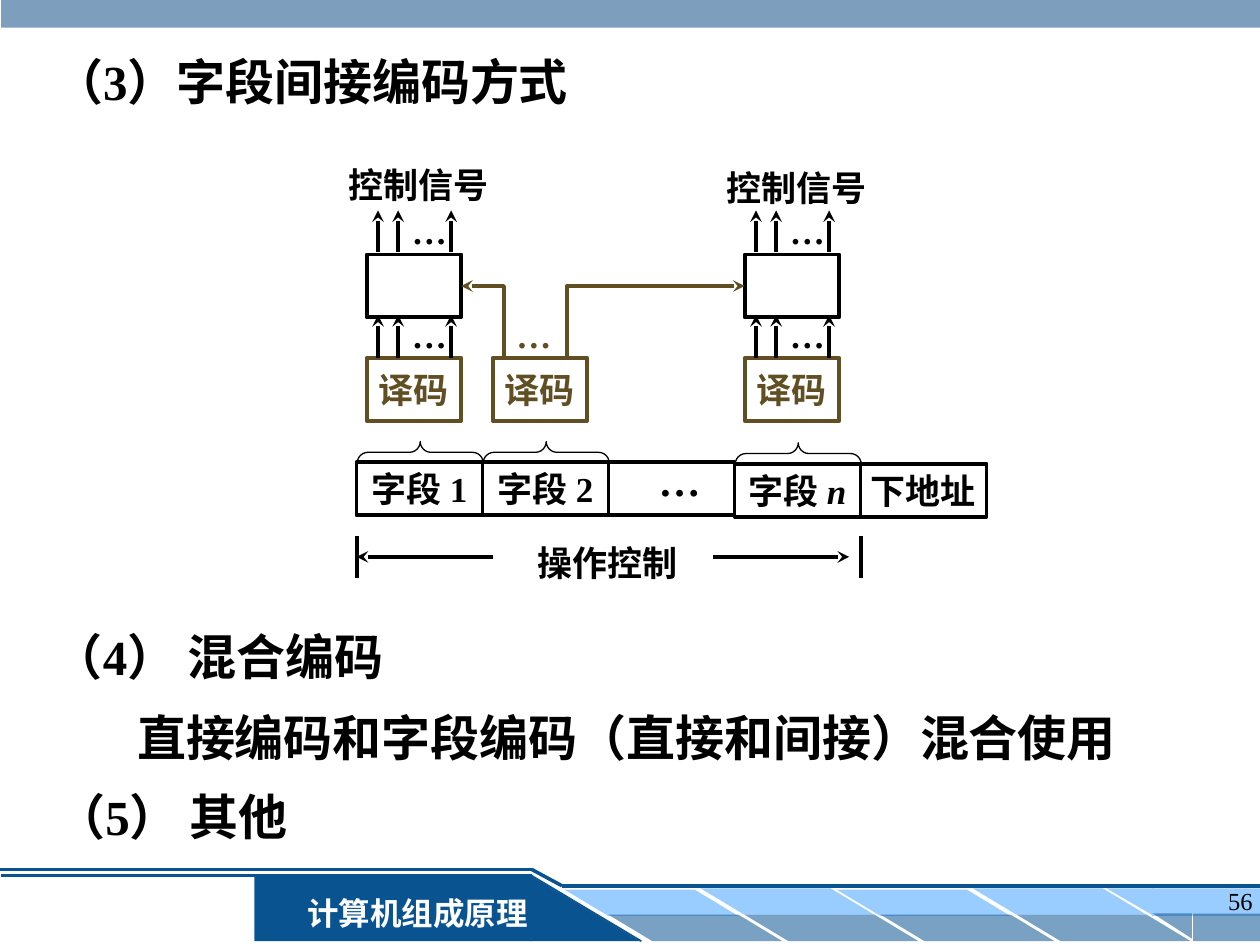
import dataclasses
import typing

import pptx
import pptx.dml.color
import pptx.enum.shapes
import pptx.enum.text
import pptx.oxml.ns
import pptx.oxml.xmlchemy
import pptx.util

PX = 9144  # one px is a hundredth of an inch
FONT = "Times New Roman"
BLACK, WHITE, BROWN = "000000", "FFFFFF", "614F23"
NAVY, SKY, STEEL = "095391", "99CCFF", "336699"
KIND = pptx.enum.shapes.MSO_SHAPE
ALIGN = pptx.enum.text.PP_ALIGN
ANCHOR = pptx.enum.text.MSO_ANCHOR
qn = pptx.oxml.ns.qn
make = pptx.oxml.xmlchemy.OxmlElement


@dataclasses.dataclass
class Box:
    x: int
    y: int
    w: int
    h: int

    def emu(self) -> list[int]:
        return [v * PX for v in (self.x, self.y, self.w, self.h)]


@dataclasses.dataclass
class Field:
    text: str
    y: int
    brace: bool = False
    slant: str = ""


def rgb(code: str) -> pptx.dml.color.RGBColor:
    return pptx.dml.color.RGBColor.from_string(code)


def write(frame, text: str, size: float = 20, color: str = BLACK, bold: bool = True,
          align=ALIGN.LEFT, anchor=ANCHOR.TOP, wrap: bool = False, slant: str = "") -> None:
    """Fill a text frame; slant is a closing run in italics."""
    frame.auto_size = pptx.enum.text.MSO_AUTO_SIZE.NONE
    frame.word_wrap = wrap
    frame.vertical_anchor = anchor
    par = frame.paragraphs[0]
    par.alignment = align
    for part, ital in ((text, False), (slant, True)):
        if part:
            run = par.add_run()
            run.text = part
            font = run.font
            font.name, font.size = FONT, pptx.util.Pt(size)
            font.bold, font.italic = bold, ital
            font.color.rgb = rgb(color)


def label(slide, box: Box, text: str, **form) -> None:
    write(slide.shapes.add_textbox(*box.emu()).text_frame, text, **form)


def style(shape, fill: typing.Optional[str] = None, edge: typing.Optional[str] = None,
          width: float = 2.25, alpha: int = 100) -> None:
    shape.shadow.inherit = False
    if fill:
        shape.fill.solid()
        shape.fill.fore_color.rgb = rgb(fill)
        if alpha < 100:
            tint = shape.element.spPr.find(qn("a:solidFill"))[0]
            node = make("a:alpha")
            node.set("val", str(alpha * 1000))
            tint.append(node)
    else:
        shape.fill.background()
    if edge:
        shape.line.color.rgb = rgb(edge)
        shape.line.width = pptx.util.Pt(width)
    else:
        shape.line.fill.background()


def draw(slide, box: Box, kind=KIND.RECTANGLE, flip: str = "", **look):
    shape = slide.shapes.add_shape(kind, *box.emu())
    style(shape, **look)
    for axis in flip:
        shape.element.spPr.find(qn("a:xfrm")).set("flip" + axis, "1")
    return shape


def point(shape) -> None:
    """Put an arrowhead at the end of a line."""
    head = make("a:tailEnd")
    head.set("type", "stealth")
    shape.element.spPr.find(qn("a:ln")).append(head)


def line(slide, x1: int, y1: int, x2: int, y2: int, color: str = BLACK,
         width: float = 2.25, arrow: bool = False) -> None:
    link = slide.shapes.add_connector(pptx.enum.shapes.MSO_CONNECTOR.STRAIGHT,
                                      x1 * PX, y1 * PX, x2 * PX, y2 * PX)
    link.line.color.rgb = rgb(color)
    link.line.width = pptx.util.Pt(width)
    if arrow:
        point(link)
    link.element.spPr.append(make("a:effectLst"))


def elbow(slide, *spots: tuple[int, int]) -> None:
    path = slide.shapes.build_freeform(*spots[0], scale=PX)
    path.add_line_segments(spots[1:], close=False)
    shape = path.convert_to_shape()
    style(shape, edge=BROWN)
    point(shape)


def frame_page(slide) -> None:
    # Course plate and its outline
    draw(slide, Box(202, 695, 220, 52), fill=NAVY)
    line(slide, 509, 747, 422, 695, NAVY, 1)
    line(slide, 422, 695, 1, 695, NAVY, 1.5)
    line(slide, -1, 690, 422, 690, NAVY, 2)
    # Slanted tiles, then the tile cut off at the right edge
    for i in range(4):
        for x, y, fill, alpha in ((448, 706 - i % 2, SKY, 100), (483, 726, NAVY, 54)):
            tile = draw(slide, Box(x + 108 * i, y, 138, 21), KIND.PARALLELOGRAM, "H",
                        fill=fill, alpha=alpha)
            tile.adjustments[0] = 1.66
    draw(slide, Box(914, 705, 86, 22), fill=SKY)
    draw(slide, Box(878, 705, 38, 22), KIND.RIGHT_TRIANGLE, "HV", fill=SKY)
    draw(slide, Box(947, 725, 54, 22), fill=NAVY, alpha=54)
    draw(slide, Box(915, 725, 31, 20), KIND.RIGHT_TRIANGLE, "HV", fill=NAVY, alpha=54)
    line(slide, 446, 703, 1001, 703, NAVY, 2)
    plate = draw(slide, Box(229, 705, 205, 40), fill=NAVY)
    write(plate.text_frame, "计算机组成原理", size=18, color=WHITE, align=ALIGN.CENTER, wrap=True)
    draw(slide, Box(421, 695, 87, 52), KIND.RIGHT_TRIANGLE, fill=NAVY)
    line(slide, 422, 690, 446, 703, NAVY, 2)
    # Top band and page number
    draw(slide, Box(1, -3, 1000, 25), fill=STEEL, alpha=63)
    label(slide, Box(771, 698, 233, 52), "56", size=14, bold=False, align=ALIGN.RIGHT, wrap=True)


def stack(slide, x: int, y: int) -> None:
    """Control signals above a second-level decoder, fed from below."""
    label(slide, Box(x - 24, y, 131, 44), "控制信号")
    draw(slide, Box(x, 202, 75, 50), edge=BLACK)
    for low, high in ((200, 167), (284, 250)):
        for step in (9, 25, 67):
            line(slide, x + step, low, x + step, high, arrow=True)
        label(slide, Box(x + 26, high - 6, 48, 44), "…")


def diagram(slide) -> None:
    # Decoders
    for x in (291, 391, 591):
        box = draw(slide, Box(x, 284, 75, 50), edge=BROWN)
        write(box.text_frame, "译码", color=BROWN, align=ALIGN.CENTER, anchor=ANCHOR.MIDDLE)
    stack(slide, 291, 125)
    stack(slide, 591, 127)
    label(slide, Box(400, 244, 48, 44), "…", color=BROWN)
    elbow(slide, (400, 285), (400, 227), (366, 227))
    elbow(slide, (450, 285), (450, 227), (591, 227))
    # Fields of the instruction word
    fields = (Field("字段 1", 367, True), Field("字段 2", 367, True), Field("", 367),
              Field("字段 ", 368, True, "n"), Field("下地址", 368))
    for i, field in enumerate(fields):
        x = 283 + 100 * i
        cell = draw(slide, Box(x, field.y, 100, 42), edge=BLACK)
        write(cell.text_frame, field.text, slant=field.slant,
              align=ALIGN.CENTER, anchor=ANCHOR.MIDDLE)
        if field.brace:
            brace = draw(slide, Box(x + 42, field.y - 58, 17, 100), KIND.LEFT_BRACE,
                         edge=BLACK, width=0.75)
            brace.adjustments[0] = 0.5
            brace.rotation = 90
    label(slide, Box(513, 356, 53, 50), "…", size=24)
    # Span of the control part
    for x in (283, 683):
        line(slide, x, 425, x, 459)
    line(slide, 391, 442, 283, 442, arrow=True)
    line(slide, 566, 442, 674, 442, arrow=True)
    label(slide, Box(417, 425, 131, 44), "操作控制")


def main() -> None:
    deck = pptx.Presentation()
    deck.slide_width, deck.slide_height = 1000 * PX, 750 * PX
    slide = deck.slides.add_slide(deck.slide_layouts[5])
    frame_page(slide)
    # Headings
    title = slide.shapes.title
    title.left, title.top, title.width, title.height = Box(33, 36, 858, 57).emu()
    write(title.text_frame, "（3）字段间接编码方式", size=28, wrap=True)
    for box, text in ((Box(33, 492, 732, 57), "（4） 混合编码"),
                      (Box(99, 557, 835, 57), "直接编码和字段编码（直接和间接）混合使用"),
                      (Box(35, 619, 606, 57), "（5） 其他")):
        label(slide, box, text, size=28, wrap=True)
    diagram(slide)
    deck.save("out.pptx")


if __name__ == "__main__":
    main()
